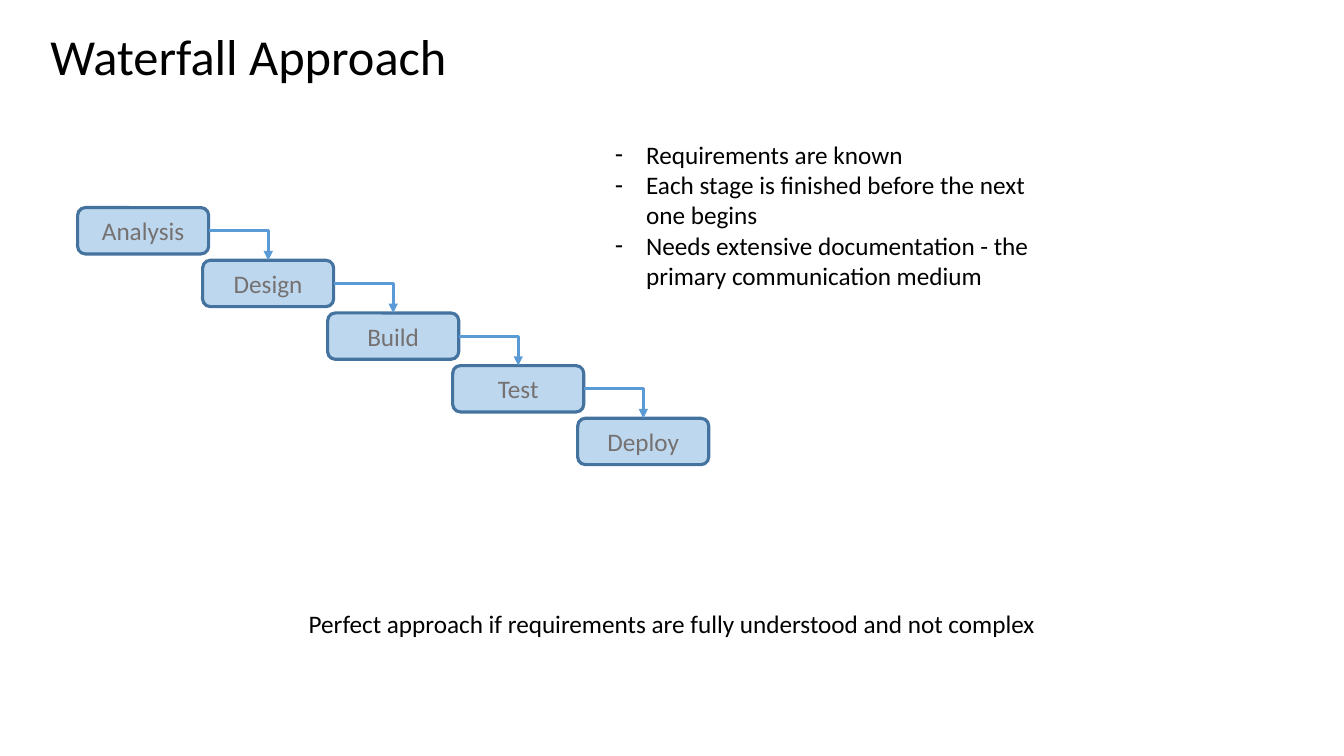
from dataclasses import dataclass
from itertools import pairwise

from lxml import etree
from pptx import Presentation
from pptx.dml.color import RGBColor
from pptx.enum.shapes import MSO_CONNECTOR, MSO_SHAPE
from pptx.enum.text import MSO_ANCHOR, MSO_AUTO_SIZE, PP_ALIGN
from pptx.oxml.ns import qn
from pptx.shapes.autoshape import Shape
from pptx.shapes.connector import Connector
from pptx.shapes.group import GroupShape
from pptx.text.text import TextFrame
from pptx.util import Emu, Inches, Pt

ELBOW = MSO_CONNECTOR.ELBOW
ROUNDED = MSO_SHAPE.ROUNDED_RECTANGLE
TOP, MIDDLE = MSO_ANCHOR.TOP, MSO_ANCHOR.MIDDLE
LEFT, CENTER = PP_ALIGN.LEFT, PP_ALIGN.CENTER
NO_AUTOFIT = MSO_AUTO_SIZE.NONE
TOP_SITE, RIGHT_SITE = 0, 3
TITLE_AND_CONTENT = 1


@dataclass(frozen=True)
class Theme:
    """Colours, type sizes and line width of the slide."""
    font: str = "Calibri"
    title_size: Pt = Pt(36)
    text_size: Pt = Pt(18)
    line_width: Pt = Pt(2.25)
    text: RGBColor = RGBColor(0, 0, 0)
    stage_text: RGBColor = RGBColor(0x76, 0x71, 0x71)
    stage_fill: RGBColor = RGBColor(0xBD, 0xD7, 0xEE)
    stage_line: RGBColor = RGBColor(0x43, 0x73, 0x9E)
    arrow: RGBColor = RGBColor(0x5B, 0x9B, 0xD5)


@dataclass(frozen=True)
class Box:
    """A rectangle in inches."""
    left: float
    top: float
    width: float
    height: float

    def lengths(self) -> tuple[Emu, Emu, Emu, Emu]:
        """Return left, top, width and height as slide lengths."""
        return (Inches(self.left), Inches(self.top),
                Inches(self.width), Inches(self.height))


@dataclass(frozen=True)
class Staircase:
    """A grid in which every stage sits one column right and one row down."""
    first: Box
    column: float
    row: float

    def box(self, index: int) -> Box:
        """Return the box of the stage at the given step."""
        return Box(self.first.left + index * self.column,
                   self.first.top + index * self.row,
                   self.first.width, self.first.height)


THEME = Theme()
SLIDE_WIDTH, SLIDE_HEIGHT = 13.33, 7.5
TITLE_BOX = Box(0.03 * SLIDE_WIDTH, 0.2, 5.89, 0.71)
TRAITS_BOX = Box(0.45 * SLIDE_WIDTH, 1.33, 0.35 * SLIDE_WIDTH, 1.62)
VERDICT_BOX = Box(0, 0.8 * SLIDE_HEIGHT - 0.01, SLIDE_WIDTH, 0.4)
STAIRCASE = Staircase(Box(0.77, 2.06, 1.3, 0.46), column=1.24, row=2.09 / 4)
BULLET_INDENT = Inches(0.31)

TITLE = "Waterfall Approach"
STAGES = ["Analysis", "Design", "Build", "Test", "Deploy"]
TRAITS = [
    "Requirements are known",
    "Each stage is finished before the next one begins",
    "Needs extensive documentation - the primary communication medium",
]
VERDICT = "Perfect approach if requirements are fully understood and not complex"


def write(frame: TextFrame, lines: list[str], size: Pt, color: RGBColor,
          alignment: PP_ALIGN = LEFT, anchor: MSO_ANCHOR = TOP) -> None:
    """Fill a text frame with one formatted paragraph per line."""
    frame.text = "\n".join(lines)
    frame.word_wrap = True
    frame.auto_size = NO_AUTOFIT
    frame.vertical_anchor = anchor
    for paragraph in frame.paragraphs:
        paragraph.alignment = alignment
        paragraph.space_before = Pt(0)
        paragraph.font.name = THEME.font
        paragraph.font.size = size
        paragraph.font.color.rgb = color


def add_dashes(frame: TextFrame) -> None:
    """Give every paragraph a hanging dash bullet."""
    for paragraph in frame.paragraphs:
        properties = paragraph._p.get_or_add_pPr()
        properties.set("marL", str(BULLET_INDENT))
        properties.set("indent", str(-BULLET_INDENT))
        bullet = etree.Element(qn("a:buChar"), char="-")
        properties.insert_element_before(
            bullet, "a:tabLst", "a:defRPr", "a:extLst")


def place(shape: Shape, box: Box) -> None:
    """Move and resize a shape to a box."""
    shape.left, shape.top, shape.width, shape.height = box.lengths()


def add_stage(group: GroupShape, name: str, box: Box) -> Shape:
    """Draw one stage of the waterfall."""
    stage = group.shapes.add_shape(ROUNDED, *box.lengths())
    stage.shadow.inherit = False
    stage.fill.solid()
    stage.fill.fore_color.rgb = THEME.stage_fill
    stage.line.color.rgb = THEME.stage_line
    stage.line.width = THEME.line_width
    write(stage.text_frame, [name], THEME.text_size, THEME.stage_text,
          CENTER, MIDDLE)
    return stage


def add_arrow(group: GroupShape, source: Shape, target: Shape) -> Connector:
    """Join the right side of one stage to the top of the next."""
    arrow = group.shapes.add_connector(
        ELBOW, source.left + source.width, source.top + source.height // 2,
        target.left + target.width // 2, target.top)
    arrow.begin_connect(source, RIGHT_SITE)
    arrow.end_connect(target, TOP_SITE)
    arrow.line.color.rgb = THEME.arrow
    arrow.line.width = THEME.line_width
    properties = arrow._element.spPr
    properties.find(qn("a:prstGeom")).set("prst", "bentConnector2")
    etree.SubElement(properties.find(qn("a:ln")), qn("a:tailEnd"),
                     type="triangle")
    etree.SubElement(properties, qn("a:effectLst"))
    return arrow


def build() -> None:
    """Build and save the slide."""
    presentation = Presentation()
    presentation.slide_width = Inches(SLIDE_WIDTH)
    presentation.slide_height = Inches(SLIDE_HEIGHT)
    slide = presentation.slides.add_slide(
        presentation.slide_layouts[TITLE_AND_CONTENT])

    waterfall = slide.shapes.add_group_shape()
    stages = [add_stage(waterfall, name, STAIRCASE.box(index))
              for index, name in enumerate(STAGES)]
    for source, target in pairwise(stages):
        add_arrow(waterfall, source, target)

    title, traits = slide.shapes.title, slide.placeholders[1]
    place(title, TITLE_BOX)
    write(title.text_frame, [TITLE], THEME.title_size, THEME.text)
    place(traits, TRAITS_BOX)
    write(traits.text_frame, TRAITS, THEME.text_size, THEME.text)
    add_dashes(traits.text_frame)

    verdict = slide.shapes.add_textbox(*VERDICT_BOX.lengths())
    write(verdict.text_frame, [VERDICT], THEME.text_size, THEME.text, CENTER)

    presentation.save("out.pptx")


build()
